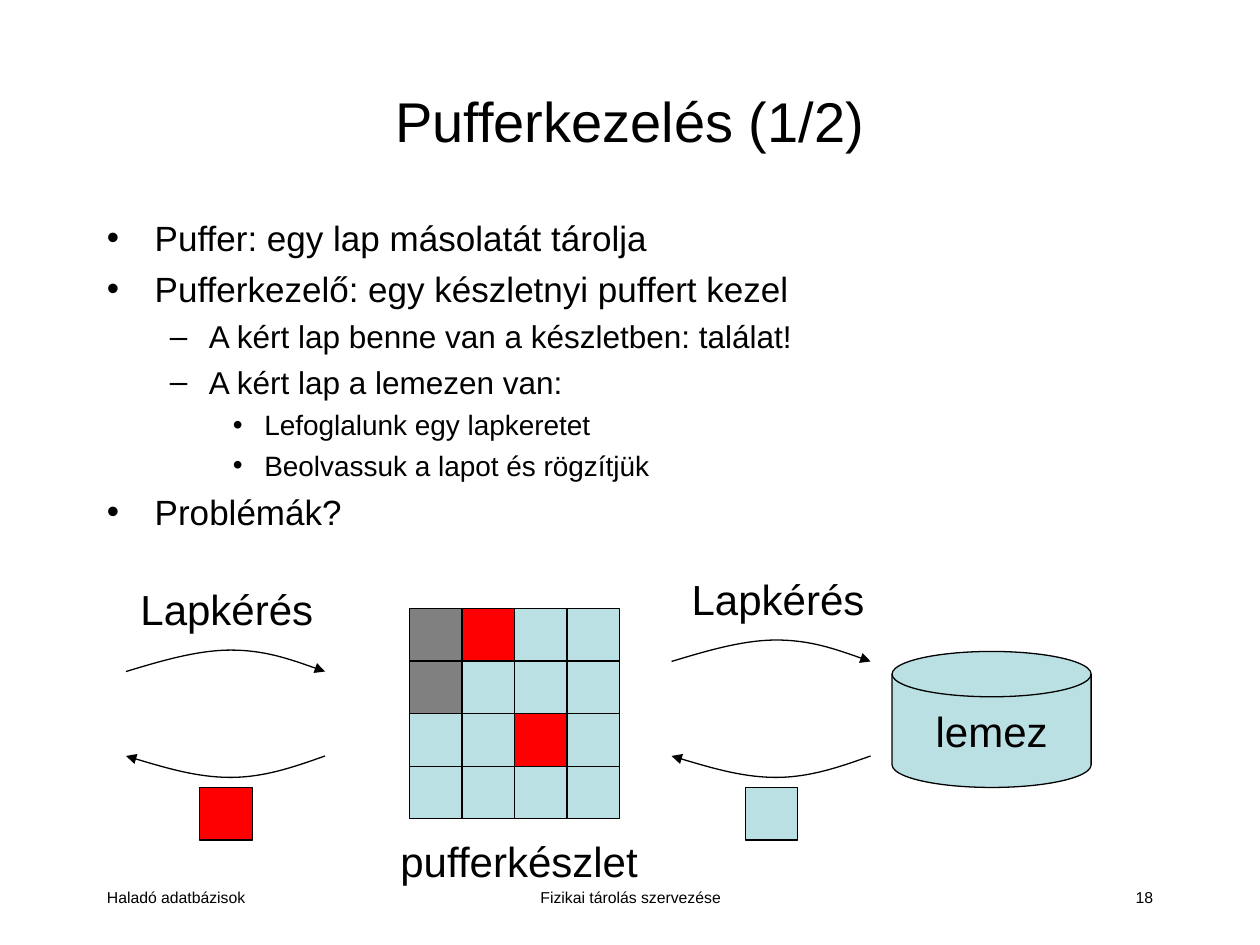
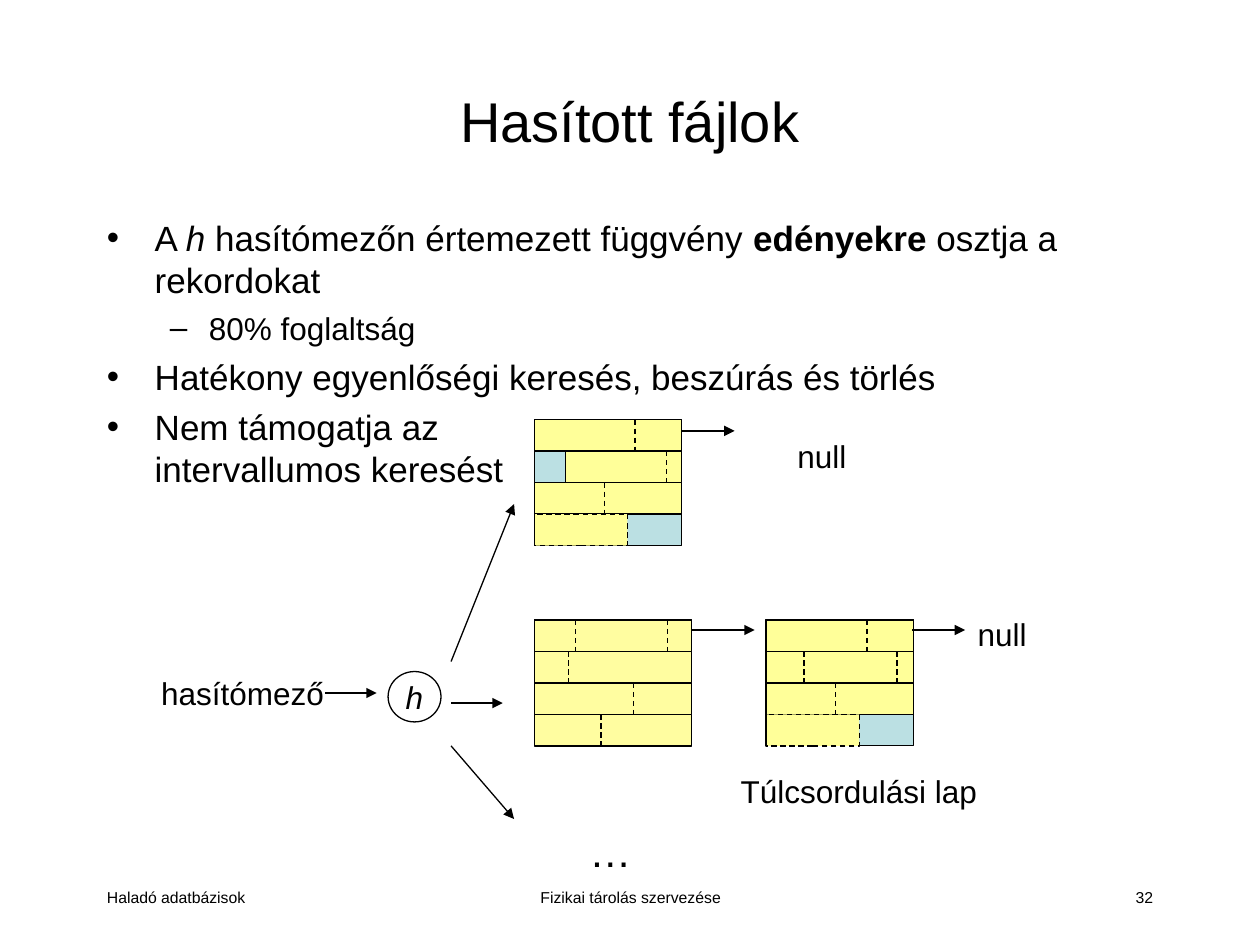
from pptx import Presentation
from pptx.util import Inches, Pt
from pptx.dml.color import RGBColor
from pptx.enum.dml import MSO_LINE
from pptx.enum.shapes import MSO_CONNECTOR, MSO_SHAPE
from pptx.enum.text import MSO_ANCHOR, MSO_AUTO_SIZE, PP_ALIGN
from pptx.oxml.ns import qn
from lxml.etree import SubElement

BLACK, BLUE, RED, GRAY = "000000", "BBE0E3", "FF0000", "808080"
YELLOW, CREAM = "FFFF99", "FFFDA0"
LEFT, CENTER, RIGHT = PP_ALIGN.LEFT, PP_ALIGN.CENTER, PP_ALIGN.RIGHT
LEVELS = [(20, 5, 0.38, 0.38, "•"), (18, 4.5, 0.81, 0.31, "–"), (16, 4, 1.25, 0.25, "•")]
CELL = 0.417
ROW = 0.25


def color(code):
    return RGBColor.from_string(code)


def write(para, text, size=18, align=None, bold=None, italic=None):
    if align is not None:
        para.alignment = align
    run = para.add_run()
    run.text = text
    font = run.font
    font.name, font.size, font.bold, font.italic = "Arial", Pt(size), bold, italic
    font.color.rgb = color(BLACK)


class Deck:
    def __init__(self):
        self.show = Presentation()
        self.show.slide_width, self.show.slide_height = Inches(10), Inches(7.5)
        self.slide = None

    def start(self, title, number):
        self.slide = self.show.slides.add_slide(self.show.slide_layouts[5])
        head = self.slide.shapes.title
        head.left, head.top, head.width, head.height = map(Inches, (0.75, 0.33, 8.5, 1.25))
        frame = head.text_frame
        frame.auto_size = MSO_AUTO_SIZE.NONE
        frame.vertical_anchor = MSO_ANCHOR.MIDDLE
        write(frame.paragraphs[0], title, size=32, align=CENTER)
        feet = [(0.75, 2.08, "Haladó adatbázisok", LEFT),
                (3.42, 3.17, "Fizikai tárolás szervezése", CENTER),
                (7.17, 2.08, number, RIGHT)]
        for x, w, text, align in feet:
            self.label(text, x, 7, w, 0.33, size=9, align=align)

    def frame(self, x, y, w, h, wrap=False):
        box = self.slide.shapes.add_textbox(*map(Inches, (x, y, w, h)))
        box.text_frame.word_wrap = wrap
        return box.text_frame

    def label(self, text, x, y, w, h, **style):
        write(self.frame(x, y, w, h).paragraphs[0], text, **style)

    def body(self, items):
        frame = self.frame(0.75, 1.67, 8.5, 5.17, wrap=True)
        for i, (level, *runs) in enumerate(items):
            para = frame.add_paragraph() if i else frame.paragraphs[0]
            size, gap, left, hang, mark = LEVELS[level]
            para.level, para.space_before = level, Pt(gap)
            for run in runs:
                text, kind = run if isinstance(run, tuple) else (run, "")
                if text == "\n":
                    para.add_line_break()
                else:
                    write(para, text, size=size, bold=kind == "b", italic=kind == "i")
            props = para._p.get_or_add_pPr()
            props.set("marL", str(Inches(left)))
            props.set("indent", str(-Inches(hang)))
            SubElement(props, qn("a:buFont")).set("typeface", "Arial")
            SubElement(props, qn("a:buChar")).set("char", mark)

    def stroke(self, item, dash=False, arrow=None):
        line = item.line
        line.color.rgb, line.width = color(BLACK), Pt(0.75)
        if dash:
            line.dash_style = MSO_LINE.DASH
        if arrow:
            SubElement(line._get_or_add_ln(), qn(f"a:{arrow}")).set("type", "triangle")

    def shape(self, x, y, w, h, fill=None, kind=MSO_SHAPE.RECTANGLE, dash=False, text=None, **style):
        item = self.slide.shapes.add_shape(kind, *map(Inches, (x, y, w, h)))
        item.shadow.inherit = False
        if fill:
            item.fill.solid()
            item.fill.fore_color.rgb = color(fill)
        else:
            item.fill.background()
        self.stroke(item, dash)
        if text:
            frame = item.text_frame
            frame.word_wrap = False
            frame.vertical_anchor = MSO_ANCHOR.MIDDLE
            write(frame.paragraphs[0], text, align=CENTER, **style)

    def line(self, x1, y1, x2, y2, dash=False, arrow=None):
        ends = map(Inches, (x1, y1, x2, y2))
        item = self.slide.shapes.add_connector(MSO_CONNECTOR.STRAIGHT, *ends)
        SubElement(item._element.spPr, qn("a:effectLst"))
        self.stroke(item, dash, arrow)

    def arc(self, x, y, bend, arrow):
        steps = [(0.28, 0.5), (0.57, 1), (0.83, 1), (1.1, 1), (1.34, 0.5), (1.58, 0)]
        build = self.slide.shapes.build_freeform(Inches(x), Inches(y))
        build.add_line_segments([(Inches(x + dx), Inches(y + bend * dy)) for dx, dy in steps], close=False)
        item = build.convert_to_shape()
        item.shadow.inherit = False
        item.fill.background()
        self.stroke(item, arrow=arrow)
        parts = list(item._element.iter(qn("a:lnTo")))
        for i in range(0, len(parts), 3):
            curve = SubElement(parts[i].getparent(), qn("a:cubicBezTo"))
            for part in parts[i:i + 3]:
                curve.append(part[0])
                part.getparent().remove(part)

    def swap(self, x, y, fill):
        self.arc(x, y, -0.17, "tailEnd")
        self.arc(x, 6, 0.17, "headEnd")
        self.shape(x + 0.585, 6.25, CELL, CELL, fill)

    def bucket(self, x, y, w, fill, rows):
        self.shape(x, y, w, ROW * len(rows), BLUE)
        for i, (start, end, cuts) in enumerate(rows):
            top = y + i * ROW
            self.shape(x + start, top, end - start, ROW, fill, dash=end < w)
            for cut in cuts:
                self.line(x + cut, top, x + cut, top + ROW, dash=True)
        self.line(x, y, x, y + ROW * len(rows))


def buffer(deck):
    deck.start("Pufferkezelés (1/2)", "18")
    deck.body([
        (0, "Puffer: egy lap másolatát tárolja"),
        (0, "Pufferkezelő: egy készletnyi puffert kezel"),
        (1, "A kért lap benne van a készletben: találat!"),
        (1, "A kért lap a lemezen van:"),
        (2, "Lefoglalunk egy lapkeretet"),
        (2, "Beolvassuk a lapot és rögzítjük"),
        (0, "Problémák?"),
    ])
    deck.shape(7.08, 5.17, 1.58, 1.08, BLUE, kind=MSO_SHAPE.FLOWCHART_MAGNETIC_DISK, text="lemez", size=24)
    tints = {"g": GRAY, "r": RED, "b": BLUE}
    for i, row in enumerate(["grbb", "gbbb", "bbrb", "bbbb"]):
        for j, key in enumerate(row):
            deck.shape(3.25 + j * CELL, 4.83 + i * CELL, CELL, CELL, tints[key])
    deck.label("pufferkészlet", 2.83, 6.58, 2.58, 0.5, size=24, align=CENTER)
    deck.label("Lapkérés", 5.39, 4.5, 1.57, 0.5, size=24, align=CENTER)
    deck.label("Lapkérés", 0.94, 4.58, 1.72, 0.5, size=24, align=CENTER)
    deck.swap(5.33, 5.25, BLUE)
    deck.swap(1, 5.33, RED)


def hashing(deck):
    deck.start("Hasított fájlok", "32")
    deck.body([
        (0, "A ", ("h", "i"), " hasítómezőn értemezett függvény ", ("edényekre", "b"), " osztja a rekordokat"),
        (1, "80% foglaltság"),
        (0, "Hatékony egyenlőségi keresés, beszúrás és törlés"),
        (0, "Nem támogatja az", "\n", "intervallumos keresést"),
    ])
    wide, full = 1.25, 1.17
    deck.bucket(4.24, 3.33, full, YELLOW, [
        (0, full, [0.8]), (0.25, full, [1.05]), (0, full, [0.56]), (0, 0.74, [])])
    deck.bucket(4.24, 4.92, wide, CREAM, [
        (0, wide, [0.33, 1.06]), (0, wide, [0.27]), (0, wide, [0.79]), (0, wide, [0.53])])
    deck.bucket(6.08, 4.92, full, YELLOW, [
        (0, full, [0.8]), (0, full, [0.3, 1.04]), (0, full, [0.55]), (0, 0.74, [])])
    deck.shape(3.08, 5.33, 0.42, 0.4, kind=MSO_SHAPE.OVAL, text="h", italic=True)
    arrows = [
        (2.58, 5.5, 2.99, 5.5), (3.58, 5.25, 4.08, 4), (3.58, 5.58, 3.99, 5.58),
        (3.58, 5.92, 4.08, 6.5), (5.41, 3.42, 5.83, 3.42), (5.49, 5, 5.99, 5),
        (7.24, 5, 7.66, 5)]
    for ends in arrows:
        deck.line(*ends, arrow="tailEnd")
    deck.label("null", 6.23, 3.42, 0.59, 0.4)
    deck.label("null", 7.66, 4.83, 0.59, 0.4)
    deck.label("hasítómező", 1.18, 5.3, 1.49, 0.4)
    deck.label("Túlcsordulási lap", 5.78, 6.08, 2.11, 0.4)
    deck.label("…", 4.58, 6.5, 0.53, 0.5, size=24)


def main():
    deck = Deck()
    buffer(deck)
    hashing(deck)
    deck.show.save("out.pptx")


if __name__ == "__main__":
    main()
